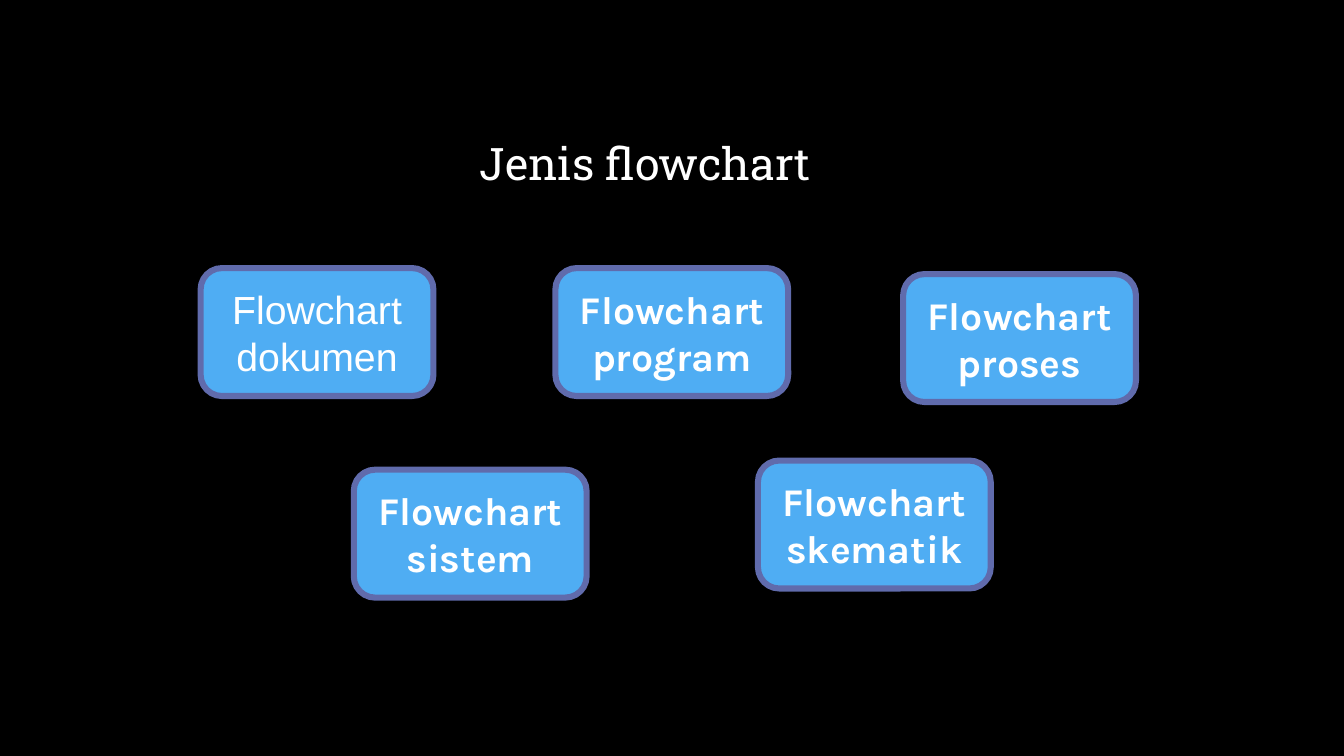
from pptx import Presentation
from pptx.dml.color import RGBColor
from pptx.enum import shapes, text
from pptx.util import Pt

TITLE = "Jenis flowchart"
CARDS = [
    ("Flowchart dokumen", 143.3, 191.5, "Arial", False),
    ("Flowchart skematik", 541.4, 329, "Karla", True),
    ("Flowchart program", 396.7, 191.5, "Karla", True),
    ("Flowchart sistem", 252.7, 335.5, "Karla", True),
    ("Flowchart proses", 645.1, 195.8, "Karla", True),
]
CARD_WIDTH, CARD_HEIGHT = 166.3, 91.4

BLACK = RGBColor(0x00, 0x00, 0x00)
WHITE = RGBColor(0xFF, 0xFF, 0xFF)
BLUE = RGBColor(0x4F, 0xAD, 0xF3)
VIOLET = RGBColor(0x60, 0x6B, 0xAC)


def write(box, words, font_name, size, bold=False):
    box.text_frame.word_wrap = True
    para = box.text_frame.paragraphs[0]
    para.text = words
    para.font.name = font_name
    para.font.size = Pt(size)
    para.font.bold = bold
    para.font.color.rgb = WHITE
    return para


def add_card(page, words, left, top, font_name, bold):
    card = page.shapes.add_shape(
        shapes.MSO_SHAPE.ROUNDED_RECTANGLE,
        Pt(left), Pt(top), Pt(CARD_WIDTH), Pt(CARD_HEIGHT),
    )
    card.shadow.inherit = False
    card.fill.solid()
    card.fill.fore_color.rgb = BLUE
    card.line.color.rgb = VIOLET
    card.line.width = Pt(4.33)
    card.text_frame.vertical_anchor = text.MSO_ANCHOR.MIDDLE
    para = write(card, words, font_name, 28, bold)
    para.alignment = text.PP_ALIGN.CENTER


def main():
    deck = Presentation()
    deck.slide_width, deck.slide_height = Pt(960), Pt(540)
    page = deck.slides.add_slide(deck.slide_layouts[6])
    page.background.fill.solid()
    page.background.fill.fore_color.rgb = BLACK

    title = page.shapes.add_textbox(Pt(335.5), Pt(93.6), Pt(288.7), Pt(46.1))
    write(title, TITLE, "Roboto Slab", 32)
    title.text_frame.auto_size = text.MSO_AUTO_SIZE.SHAPE_TO_FIT_TEXT

    for card in CARDS:
        add_card(page, *card)
    deck.save("out.pptx")


if __name__ == "__main__":
    main()
